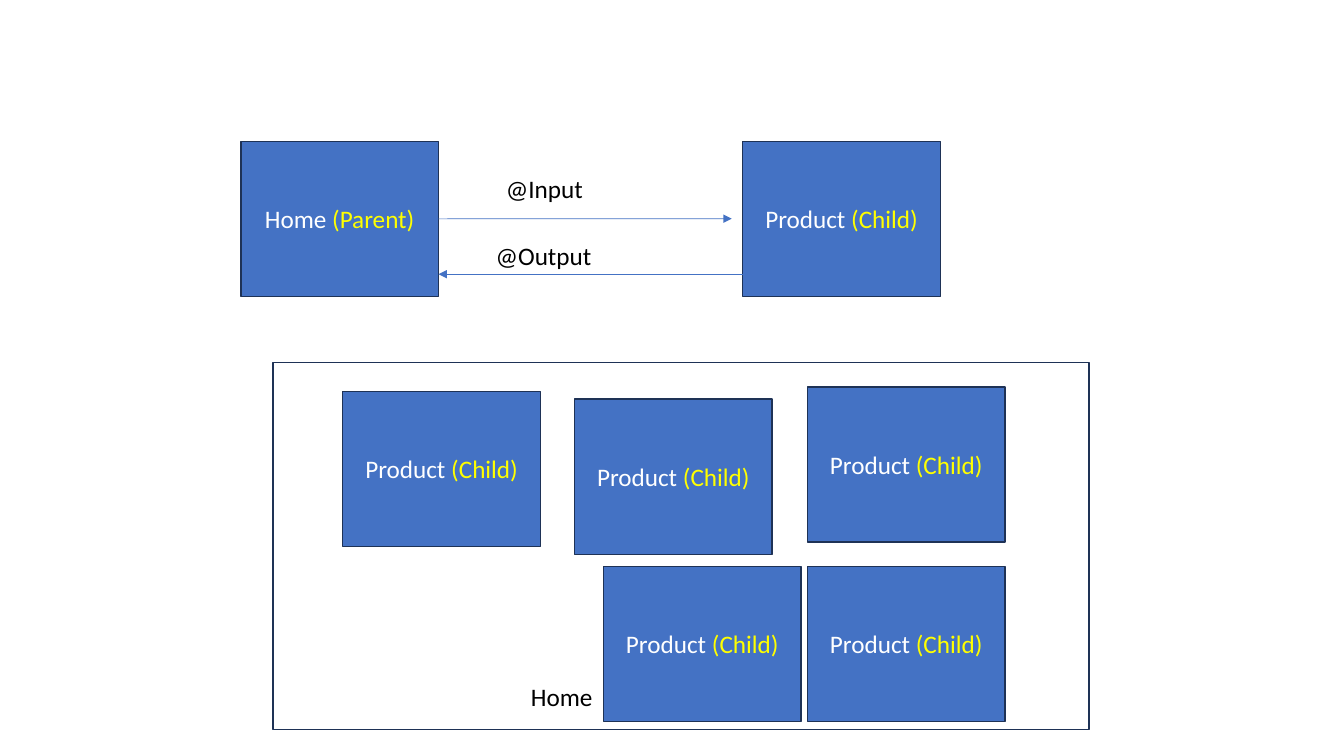
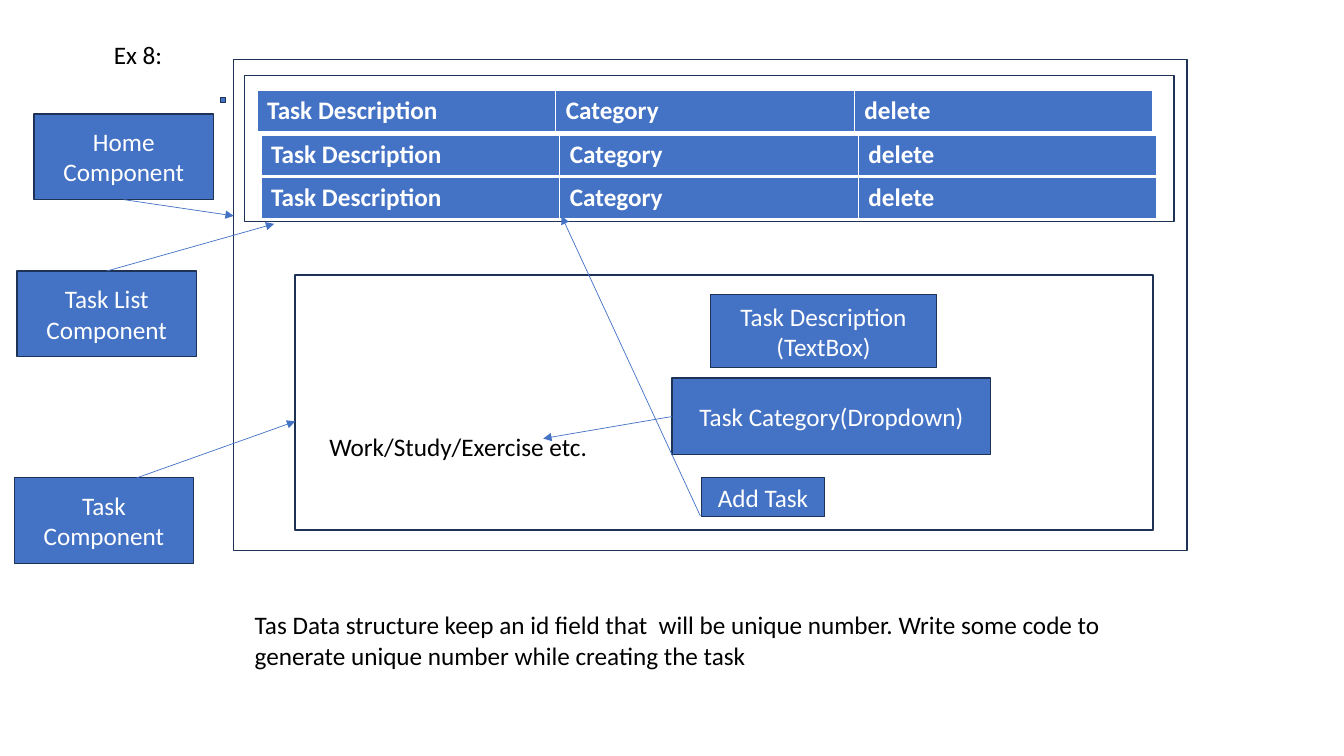
import pptx
import pptx.dml.color
import pptx.enum.shapes
import pptx.enum.text
import pptx.util
from lxml import etree
from pptx.oxml.ns import qn

Cm, Pt = pptx.util.Cm, pptx.util.Pt

COLORS = {
    "fill": "4472C4",
    "edge": "1E3256",
    "white": "FFFFFF",
    "accent": "FFFF00",
    "text": "000000",
}
FONT, TEXT_SIZE = "Calibri", 18
TOP, LEFT, BOTTOM, RIGHT = range(4)  # connection sites of a rectangle

# Lengths are centimetres. Boxes: key, runs, (left, top, width, height).
# Arrows: start, end; a start is a point or the (key, site) of a box.
CARD = (4.98, 3.91)
CHILD = ["Product ", "(Child)"]
CHILD_CORNERS = [(8.64, 9.86), (14.48, 10.06), (20.35, 9.75),
                 (20.35, 14.27), (15.21, 14.27)]
LABEL = (4.52, 2.16)

DATA_FLOW = {
    "frames": [(6.88, 9.14, 20.57, 9.25)],
    "boxes": [
        ("parent", ["Home ", "(Parent)"], (6.07, 3.56, *CARD)),
        ("child", CHILD, (18.72, 3.56, *CARD)),
        *[(f"child {number}", CHILD, (*corner, *CARD))
          for number, corner in enumerate(CHILD_CORNERS, 1)],
    ],
    "tables": [],
    "arrows": [
        (("parent", RIGHT), (18.44, 5.51)),
        ((18.72, 6.91), (11.05, 6.91)),
    ],
    "texts": [
        ("@Input", (12.5, 4.24, 5.28, 1.02)),
        ("@Output", (12.24, 5.92, 5.28, 1.02)),
        ("Home", (13.13, 17.04, 7.67, 1.02)),
    ],
}

TASK_APP = {
    "frames": [
        (5.89, 1.5, 24.03, 12.37),
        (6.17, 1.91, 23.42, 3.68),
        (7.44, 6.93, 21.62, 6.43),
    ],
    "boxes": [
        ("home", ["Home Component"], (0.86, 2.87, *LABEL)),
        ("list", ["Task List Component"], (0.43, 6.83, *LABEL)),
        ("task", ["Task Component"], (0.36, 12.04, *LABEL)),
        ("marker", [], (5.56, 2.46, 0.13, 0.13)),
        ("description", ["Task Description (TextBox)"],
         (17.91, 7.42, 5.69, 1.85)),
        ("category", ["Task Category(Dropdown)"],
         (16.94, 9.53, 8.03, 1.93)),
        ("add", ["Add Task"], (17.68, 12.04, 3.1, 0.97)),
    ],
    "tables": [(6.48, 2.29), (6.58, 3.4), (6.58, 4.47)],
    "arrows": [
        (("home", BOTTOM), (5.89, 5.44)),
        (("list", TOP), (6.91, 5.64)),
        ((3.45, 12.04), (7.44, 10.62)),
        ((17.65, 13.0), (14.15, 5.44)),
        (("category", LEFT), (13.69, 11.05)),
    ],
    "texts": [
        ("Ex 8:", (2.62, 0.86, 5, 1.02)),
        ("Work/Study/Exercise etc.", (8.05, 10.74, 7.67, 1.02)),
        ("Tas Data structure keep an id field that  will be unique number. "
         "Write some code to generate unique number while creating the task",
         (6.17, 15.24, 23.42, 1.8)),
    ],
}

TASK_ROW = ["Task Description", "Category", "delete"]
ROW_SIZE = (22.58, 1.02)


def rgb(name):
    return pptx.dml.color.RGBColor.from_string(COLORS[name])


def lengths(numbers):
    return [Cm(number) for number in numbers]


def format_span(span, color, bold=False):
    span.font.name = FONT
    span.font.size = Pt(TEXT_SIZE)
    span.font.bold = bold
    span.font.color.rgb = rgb(color)


def add_rectangle(page, area, fill=None):
    box = page.shapes.add_shape(
        pptx.enum.shapes.MSO_SHAPE.RECTANGLE, *lengths(area))
    box.shadow.inherit = False
    box.line.color.rgb = rgb("edge")
    box.line.width = Pt(1)
    if fill:
        box.fill.solid()
        box.fill.fore_color.rgb = rgb(fill)
    else:
        box.fill.background()
    return box


def add_box(page, words, area):
    box = add_rectangle(page, area, "fill")
    frame = box.text_frame
    frame.word_wrap = True
    frame.vertical_anchor = pptx.enum.text.MSO_ANCHOR.MIDDLE
    para = frame.paragraphs[0]
    para.alignment = pptx.enum.text.PP_ALIGN.CENTER
    for word, color in zip(words, ("white", "accent")):
        span = para.add_run()
        span.text = word
        format_span(span, color)
    return box


def add_text(page, text, area):
    frame = page.shapes.add_textbox(*lengths(area)).text_frame
    frame.word_wrap = True
    frame.text = text
    format_span(frame.paragraphs[0].runs[0], "text")


def add_task_row(page, corner):
    table = page.shapes.add_table(
        1, len(TASK_ROW), *lengths(corner + ROW_SIZE)).table
    for cell, text in zip(table.rows[0].cells, TASK_ROW):
        cell.fill.solid()
        cell.fill.fore_color.rgb = rgb("fill")
        cell.text = text
        format_span(cell.text_frame.paragraphs[0].runs[0], "white", bold=True)


def add_arrow(page, boxes, start, end):
    joined = start[0] in boxes
    arrow = page.shapes.add_connector(
        pptx.enum.shapes.MSO_CONNECTOR.STRAIGHT,
        *lengths((end if joined else start) + end))
    if joined:
        key, site = start
        arrow.begin_connect(boxes[key], site)
    arrow.line.color.rgb = rgb("fill")
    arrow.line.width = Pt(0.5)
    # Arrowhead and no shadow
    properties = arrow.line._get_or_add_ln()
    etree.SubElement(properties, qn("a:tailEnd"), type="triangle")
    etree.SubElement(properties.getparent(), qn("a:effectLst"))


def add_page(deck, content):
    page = deck.slides.add_slide(deck.slide_layouts[6])
    for area in content["frames"]:
        add_rectangle(page, area)
    boxes = {key: add_box(page, words, area)
             for key, words, area in content["boxes"]}
    for corner in content["tables"]:
        add_task_row(page, corner)
    for start, end in content["arrows"]:
        add_arrow(page, boxes, start, end)
    for text, area in content["texts"]:
        add_text(page, text, area)


def main():
    deck = pptx.Presentation()
    deck.slide_width, deck.slide_height = Cm(33.87), Cm(19.05)
    for content in (DATA_FLOW, TASK_APP):
        add_page(deck, content)
    deck.save("out.pptx")


if __name__ == "__main__":
    main()
